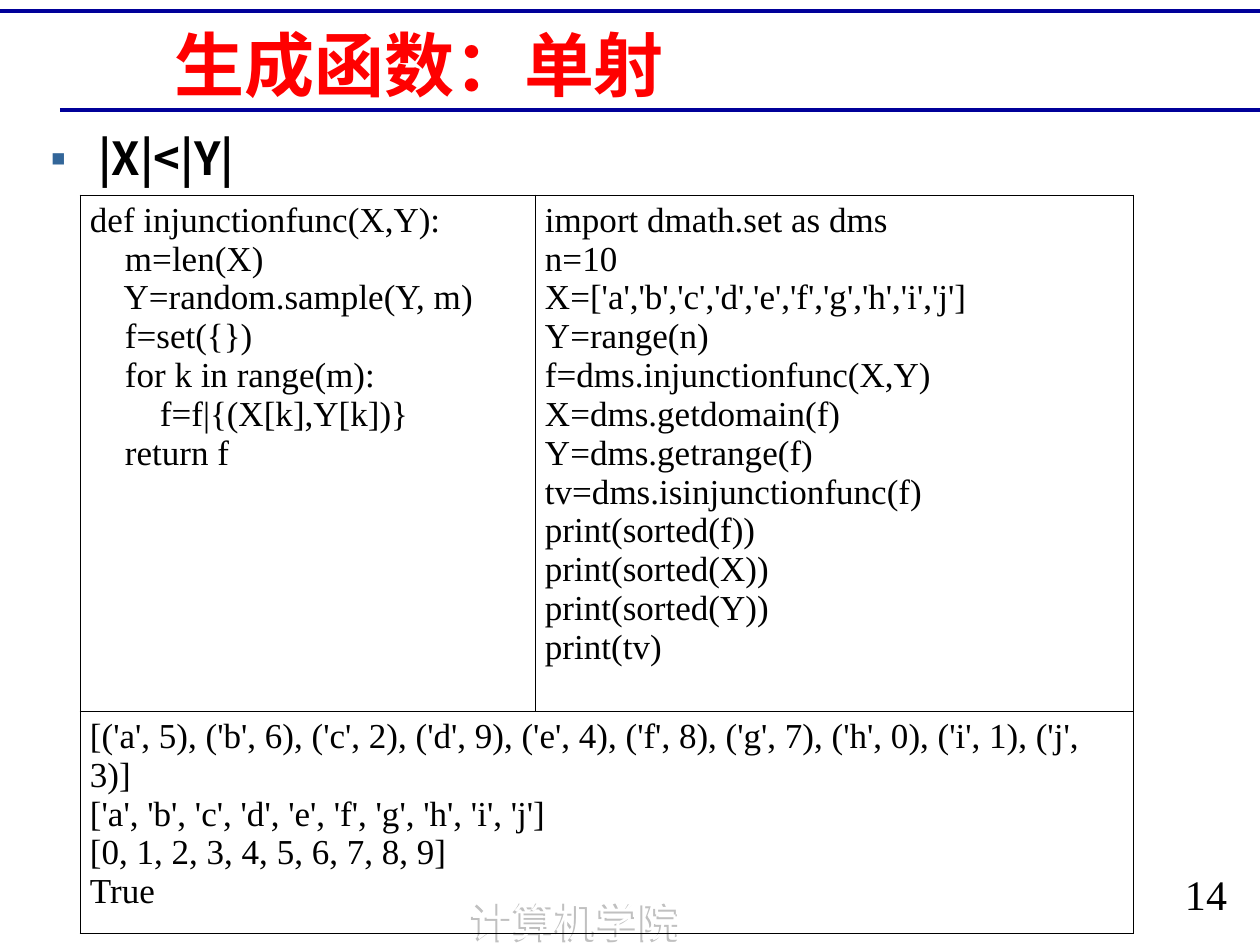
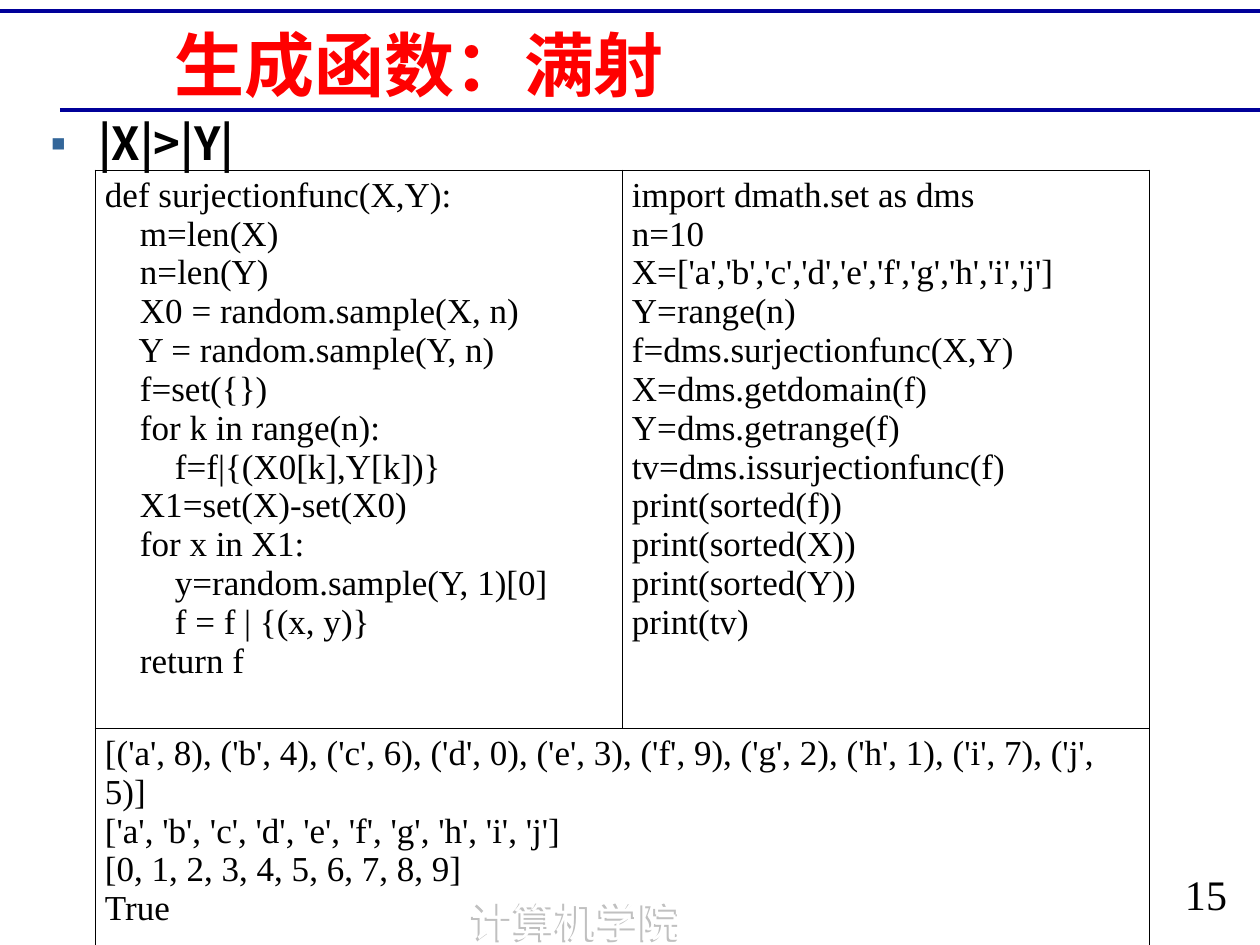
from lxml import etree
from pptx import Presentation
from pptx import util as u
from pptx.dml.color import RGBColor
from pptx.enum import shapes, text
from pptx.oxml import ns, parse_xml

RED = RGBColor(0xFF, 0x00, 0x00)
BLACK = RGBColor(0x00, 0x00, 0x00)
WHITE = RGBColor(0xFF, 0xFF, 0xFF)
NAVY = RGBColor(0x00, 0x00, 0x99)
STEEL = RGBColor(0x33, 0x66, 0x99)
SILVER = RGBColor(0xC0, 0xC0, 0xC0)

CJK = "Noto Sans CJK SC"
SERIF = "Times New Roman"
WIDTH, HEIGHT = 1260, 945
CELL_X, CELL_Y = 10, 6
DECL = ns.nsdecls("a")

TITLE = {"name": CJK, "size": u.Pt(40), "bold": True, "color": RED}
POINT = {"name": CJK, "size": u.Pt(26), "bold": True, "color": BLACK}
FOOTER = {"name": CJK, "size": u.Pt(24), "color": WHITE}
NUMBER = {"name": SERIF, "size": u.Pt(24), "color": BLACK}
CODE = {"name": SERIF, "size": u.Pt(20), "color": BLACK}

SLIDES = [
    {
        "title": "生成函数：单射",
        "point": "|X|<|Y|",
        "point_box": (38, 130, 1183, 108),
        "table_at": (80, 195),
        "cols": (455, 598),
        "rows": (504, 210),
        "kind": "injunctionfunc",
        "body": """    m=len(X)
    Y=random.sample(Y, m)
    f=set({})
    for k in range(m):
        f=f|{(X[k],Y[k])}
    return f""",
        "values": (5, 6, 2, 9, 4, 8, 7, 0, 1, 3),
        "number": 14,
    },
    {
        "title": "生成函数：满射",
        "point": "|X|>|Y|",
        "point_box": (38, 115, 1183, 73),
        "table_at": (95, 170),
        "cols": (527, 527),
        "rows": (547, 210),
        "kind": "surjectionfunc",
        "body": """    m=len(X)
    n=len(Y)
    X0 = random.sample(X, n)
    Y = random.sample(Y, n)
    f=set({})
    for k in range(n):
        f=f|{(X0[k],Y[k])}
    X1=set(X)-set(X0)
    for x in X1:
        y=random.sample(Y, 1)[0]
        f = f | {(x, y)}
    return f""",
        "values": (8, 4, 6, 0, 3, 9, 2, 1, 7, 5),
        "number": 15,
    },
]

USAGE = """import dmath.set as dms
n=10
X=['a','b','c','d','e','f','g','h','i','j']
Y=range(n)
f=dms.{kind}(X,Y)
X=dms.getdomain(f)
Y=dms.getrange(f)
tv=dms.is{kind}(f)
print(sorted(f))
print(sorted(X))
print(sorted(Y))
print(tv)"""


def px(n):
    """Turn pixels into EMU."""
    return u.Emu(round(n * 914400 / 126))


def style(r, fmt):
    """Apply a dict of font values to a run."""
    for key, value in fmt.items():
        if key == "color":
            r.font.color.rgb = value
        else:
            setattr(r.font, key, value)
    ea = etree.SubElement(r.font._element, ns.qn("a:ea"))
    ea.set("typeface", fmt["name"])


def write(tf, content, fmt, align=text.PP_ALIGN.LEFT):
    """Write one paragraph per line of content."""
    for i, line in enumerate(content.split("\n")):
        p = tf.add_paragraph() if i else tf.paragraphs[0]
        p.alignment = align
        r = p.add_run()
        r.text = line
        style(r, fmt)


def add_text(s, box, content, fmt, align=text.PP_ALIGN.LEFT, **frame):
    """Add a wrapped text box and return it."""
    sp = s.shapes.add_textbox(*map(px, box))
    tf = sp.text_frame
    for key, value in {"word_wrap": True, **frame}.items():
        setattr(tf, key, value)
    write(tf, content, fmt, align)
    return sp


def add_rule(s, left, y):
    """Draw a navy rule from left to the slide's right edge."""
    line = s.shapes.add_connector(
        shapes.MSO_CONNECTOR.STRAIGHT, px(left), px(y), px(WIDTH), px(y))
    line.line.color.rgb = NAVY
    line.line.width = u.Pt(2.25)
    etree.SubElement(line._element.spPr, ns.qn("a:effectLst"))


def add_frame(s, title, number):
    """Add the rules, title, footer and page number."""
    add_rule(s, 0, 11)
    add_rule(s, 60, 110)
    footer = add_text(s, (392, 889, 369, 56), "计算机学院", FOOTER,
                      text.PP_ALIGN.CENTER)
    footer._element.spPr.append(parse_xml(
        f'<a:effectLst {DECL}><a:outerShdw dist="{px(3)}" dir="8100000">'
        f'<a:srgbClr val="{SILVER}"/></a:outerShdw></a:effectLst>'))
    add_text(s, (1152, 862, 108, 63), str(number), NUMBER, text.PP_ALIGN.CENTER)
    add_text(s, (162, 27, 1026, 73), title, TITLE,
             vertical_anchor=text.MSO_ANCHOR.MIDDLE)


def add_point(s, box, content):
    """Add the bulleted condition line."""
    sp = add_text(s, box, content, POINT)
    p = sp.text_frame.paragraphs[0]
    p.line_spacing = 0.9
    p.space_after = u.Pt(6.5)
    pPr = p._p.get_or_add_pPr()
    pPr.set("marL", str(px(48)))
    pPr.set("indent", str(px(-48)))
    for bullet in (f'<a:buClr {DECL}><a:srgbClr val="{STEEL}"/></a:buClr>',
                   f'<a:buFont {DECL} typeface="{SERIF}"/>',
                   f'<a:buChar {DECL} char="▪"/>'):
        pPr.append(parse_xml(bullet))


def fill_cell(cell, content):
    """Write code into a clear cell with thin black borders."""
    for key, value in {"margin_left": CELL_X, "margin_right": CELL_X,
                       "margin_top": CELL_Y, "margin_bottom": CELL_Y}.items():
        setattr(cell, key, px(value))
    if content:
        write(cell.text_frame, content, CODE)
    cell.fill.background()
    tcPr = cell._tc.get_or_add_tcPr()
    for i, side in enumerate("LRTB"):
        tcPr.insert(i, parse_xml(
            f'<a:ln{side} {DECL} w="{u.Pt(0.45)}"><a:solidFill>'
            f'<a:srgbClr val="{BLACK}"/></a:solidFill></a:ln{side}>'))


def add_code_table(s, at, cols, rows, cells):
    """Add code and usage above their merged output, margins added to rows."""
    inner = [height - 2 * CELL_Y for height in rows]
    box = (*at, sum(cols), sum(inner))
    table = s.shapes.add_table(len(rows), len(cols), *map(px, box)).table
    table.first_row = table.horz_banding = False
    for column, width in zip(table.columns, cols):
        column.width = px(width)
    for row, height in zip(table.rows, inner):
        row.height = px(height)
    table.cell(1, 0).merge(table.cell(1, 1))
    for cell, content in zip(table.iter_cells(), cells):
        fill_cell(cell, content)


def add_function_slide(prs, item):
    """Build one slide about generating a kind of function."""
    s = prs.slides.add_slide(prs.slide_layouts[6])
    add_frame(s, item["title"], item["number"])
    letters = list("abcdefghij")
    pairs = list(zip(letters, item["values"]))
    output = f"{pairs}\n{letters}\n{sorted(item['values'])}\nTrue"
    code = f"def {item['kind']}(X,Y):\n{item['body']}"
    usage = USAGE.format(kind=item["kind"])
    add_code_table(s, item["table_at"], item["cols"], item["rows"],
                   (code, usage, output, ""))
    add_point(s, item["point_box"], item["point"])


def main():
    """Build and save the presentation."""
    prs = Presentation()
    prs.slide_width, prs.slide_height = px(WIDTH), px(HEIGHT)
    for item in SLIDES:
        add_function_slide(prs, item)
    prs.save("out.pptx")


if __name__ == "__main__":
    main()
